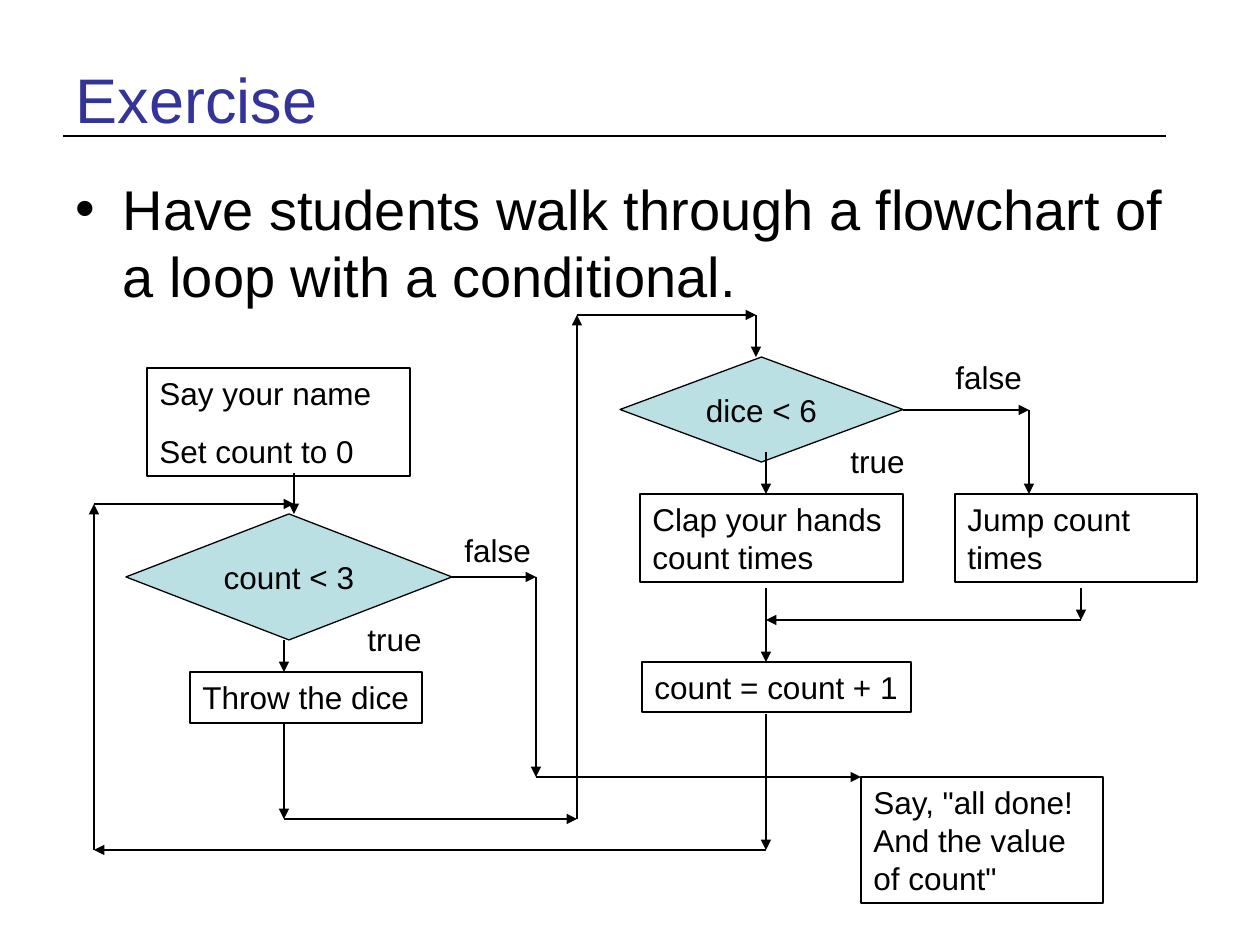
"""Build a slide with a flowchart of a loop that holds a conditional."""
from itertools import pairwise

from lxml.etree import SubElement
from pptx import Presentation
from pptx.dml.color import RGBColor
from pptx.enum.shapes import MSO_CONNECTOR, MSO_SHAPE
from pptx.enum.text import MSO_ANCHOR, MSO_AUTO_SIZE, PP_ALIGN
from pptx.oxml.ns import qn
from pptx.util import Pt

PIXEL = 914400 // 126
BLACK = RGBColor(0x00, 0x00, 0x00)
TITLE_BLUE = RGBColor(0x33, 0x33, 0x99)
PALE_TEAL = RGBColor(0xBB, 0xE0, 0xE3)
THICK, THIN = 1.5, 0.74


def write(shape, text, size=18, color=BLACK, align=PP_ALIGN.LEFT,
          anchor=MSO_ANCHOR.TOP, before=0, wrap=True):
    frame = shape.text_frame
    frame.text = text
    frame.auto_size = MSO_AUTO_SIZE.NONE
    frame.word_wrap = wrap
    frame.vertical_anchor = anchor
    for paragraph in frame.paragraphs:
        paragraph.alignment = align
        paragraph.space_before = Pt(before)
        paragraph.font.name = "Arial"
        paragraph.font.size = Pt(size)
        paragraph.font.color.rgb = color


def connect(start, end, width=THIN, arrow=True):
    points = [value * PIXEL for value in (*start, *end)]
    connector = slide.shapes.add_connector(MSO_CONNECTOR.STRAIGHT, *points)
    connector.line.color.rgb = BLACK
    connector.line.width = Pt(width)
    if arrow:
        SubElement(connector.line._get_or_add_ln(), qn("a:tailEnd"), type="triangle")
    SubElement(connector._element.spPr, qn("a:effectLst"))


presentation = Presentation()
presentation.slide_width = 1260 * PIXEL
presentation.slide_height = 945 * PIXEL
slide = presentation.slides.add_slide(presentation.slide_layouts[1])

title, body = slide.placeholders
for placeholder, top, height in ((title, 38, 120), (body, 168, 677)):
    placeholder.left, placeholder.top = 63 * PIXEL, top * PIXEL
    placeholder.width, placeholder.height = 1134 * PIXEL, height * PIXEL
write(title, "Exercise", size=36, color=TITLE_BLUE, anchor=MSO_ANCHOR.MIDDLE)
write(body, "Have students walk through a flowchart of a loop with a conditional.",
      size=32, before=8)
connect((63, 136), (1166, 136), width=THICK, arrow=False)

steps = [
    ("Say your name\nSet count to 0", 147, 368, 263, 108, True),
    ("Throw the dice", 190, 672, 232, 51, False),
    ("Clap your hands count times", 640, 494, 263, 88, True),
    ("Jump count times", 955, 494, 242, 88, True),
    ("count = count + 1", 642, 662, 269, 50, False),
    ('Say, "all done! And the value of count"', 861, 777, 242, 126, True),
]
for text, left, top, width, height, wrap in steps:
    box = slide.shapes.add_shape(
        MSO_SHAPE.RECTANGLE, left * PIXEL, top * PIXEL, width * PIXEL, height * PIXEL)
    box.shadow.inherit = False
    box.fill.background()
    box.line.color.rgb = BLACK
    box.line.width = Pt(THICK)
    write(box, text, before=11.2 if wrap else 0, wrap=wrap)

decisions = [
    ("count < 3", MSO_SHAPE.FLOWCHART_DECISION, 126, 514, 326, 126),
    ("dice < 6", MSO_SHAPE.DIAMOND, 620, 357, 283, 105),
]
for text, kind, left, top, width, height in decisions:
    decision = slide.shapes.add_shape(
        kind, left * PIXEL, top * PIXEL, width * PIXEL, height * PIXEL)
    decision.shadow.inherit = False
    decision.fill.solid()
    decision.fill.fore_color.rgb = PALE_TEAL
    decision.line.color.rgb = BLACK
    decision.line.width = Pt(THIN)
    write(decision, text, align=PP_ALIGN.CENTER, anchor=MSO_ANCHOR.MIDDLE, wrap=False)

branches = [
    ("true", 355, 614, 79),
    ("false", 452, 525, 92),
    ("false", 943, 352, 92),
    ("true", 838, 436, 79),
]
for text, left, top, width in branches:
    label = slide.shapes.add_textbox(
        left * PIXEL, top * PIXEL, width * PIXEL, 50 * PIXEL)
    write(label, text, wrap=False)

routes = [
    [(294, 473), (294, 514)],
    [(284, 640), (284, 672)],
    [(284, 724), (284, 819), (577, 819), (577, 315), (756, 315), (756, 357)],
    [(766, 452), (766, 494)],
    [(903, 410), (1029, 410), (1029, 494)],
    [(1081, 588), (1081, 620), (766, 620)],
    [(766, 588), (766, 662)],
    [(766, 714), (766, 850), (94, 850), (94, 504), (294, 504)],
    [(452, 577), (536, 577), (536, 777), (861, 777)],
]
for route in routes:
    for start, end in pairwise(route):
        connect(start, end)

presentation.save("out.pptx")
